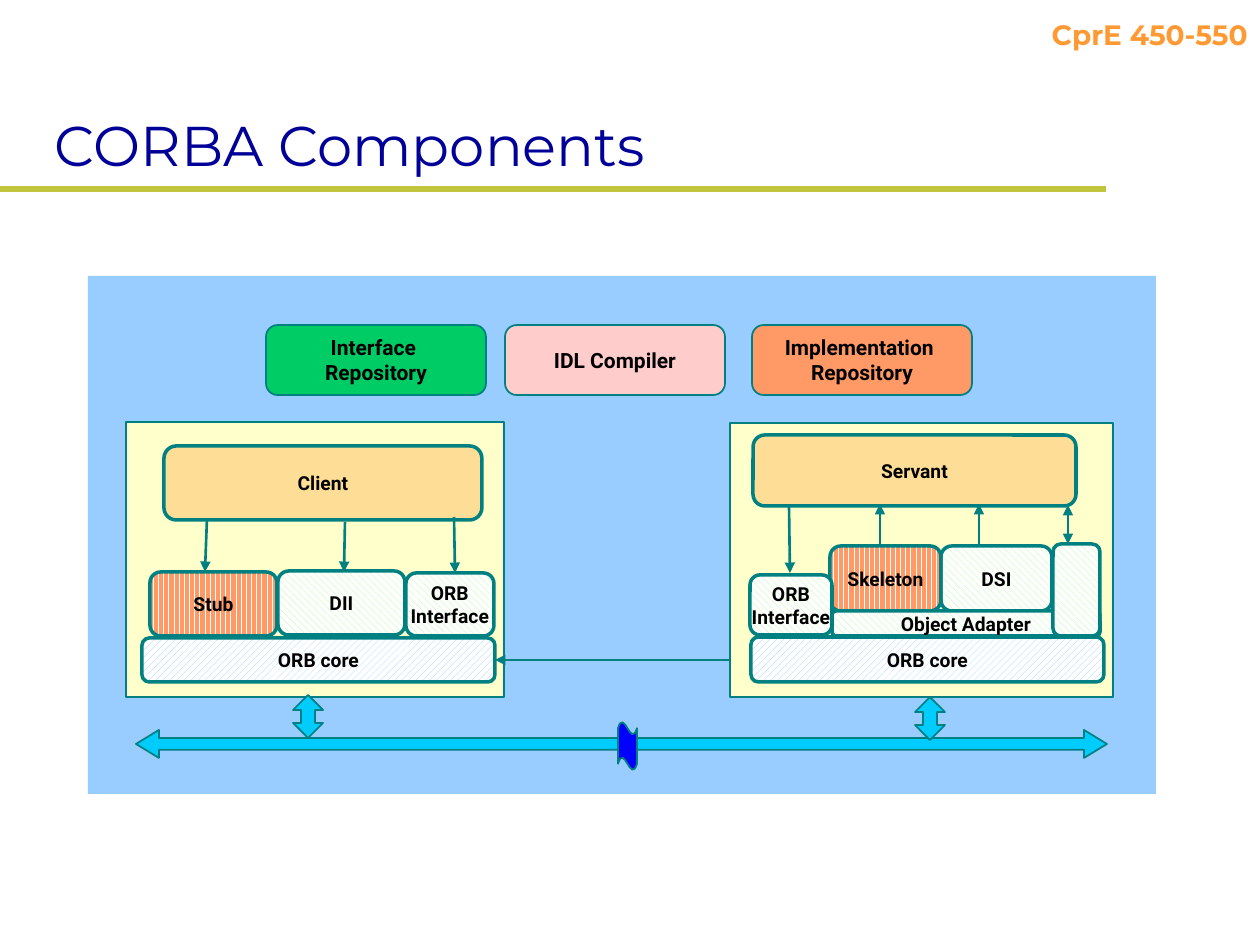
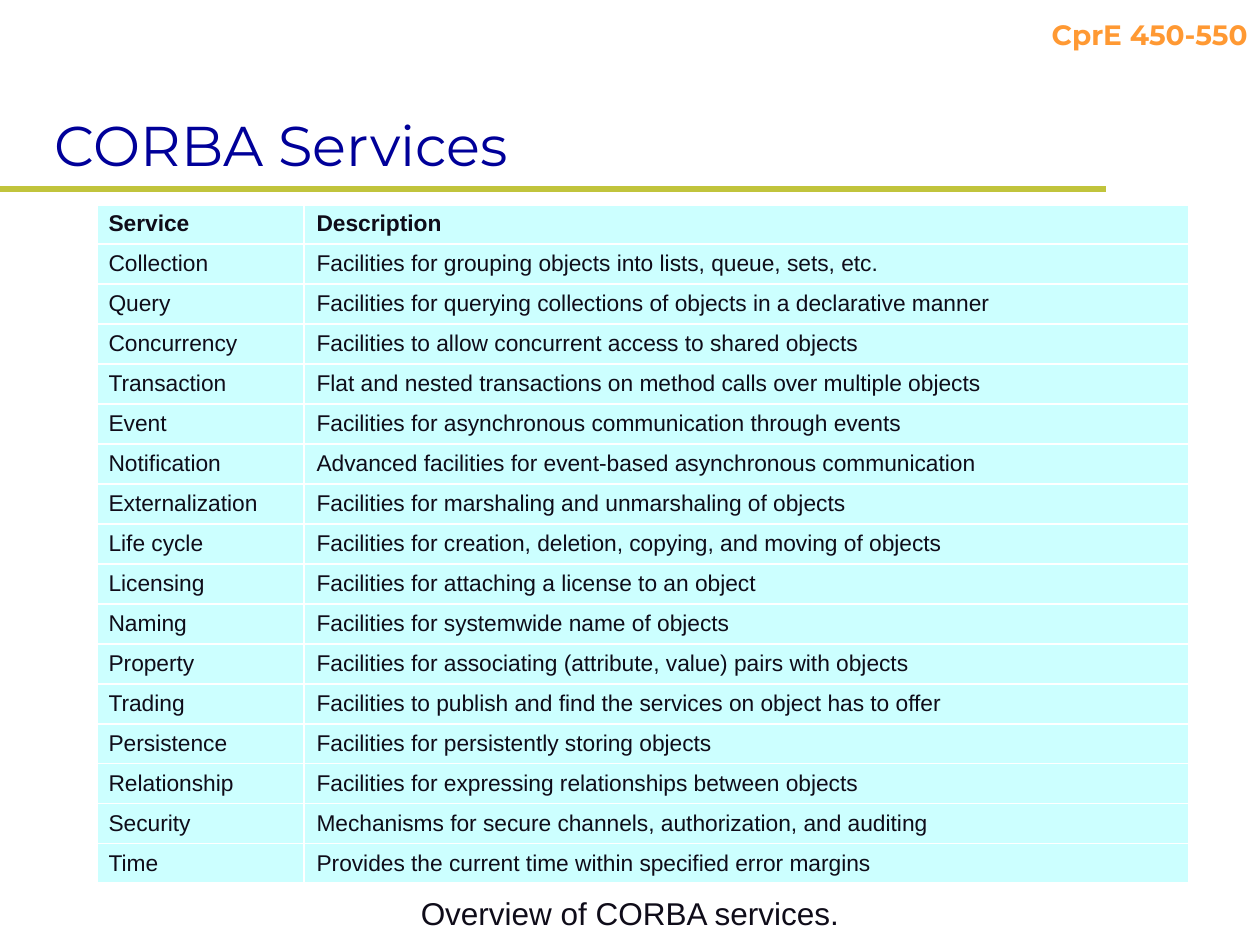
"""Builds two slides on CORBA: its components and its services."""
from dataclasses import dataclass

from lxml import etree
from pptx import Presentation
from pptx.dml.color import RGBColor
from pptx.enum.dml import MSO_PATTERN
from pptx.enum.shapes import MSO_CONNECTOR, MSO_SHAPE
from pptx.enum.text import MSO_ANCHOR, PP_ALIGN
from pptx.oxml.ns import qn
from pptx.util import Pt

RECT, ROUNDED = MSO_SHAPE.RECTANGLE, MSO_SHAPE.ROUNDED_RECTANGLE
ACROSS, UP_DOWN, WAVE = MSO_SHAPE.LEFT_RIGHT_ARROW, MSO_SHAPE.UP_DOWN_ARROW, MSO_SHAPE.WAVE
STRAIGHT = MSO_CONNECTOR.STRAIGHT
TOP, MIDDLE, BOTTOM = MSO_ANCHOR.TOP, MSO_ANCHOR.MIDDLE, MSO_ANCHOR.BOTTOM
LEFT, CENTER, RIGHT = PP_ALIGN.LEFT, PP_ALIGN.CENTER, PP_ALIGN.RIGHT
RISING, FALLING = MSO_PATTERN.WIDE_UPWARD_DIAGONAL, MSO_PATTERN.WIDE_DOWNWARD_DIAGONAL
VERTICAL = MSO_PATTERN.DARK_VERTICAL
EMU_PER_PX = 914400 / 126


@dataclass(frozen=True)
class Theme:
    """Colours, fonts and type sizes."""
    title: str = "000099"
    course: str = "FF9933"
    rule: str = "C1C43C"
    ink: str = "0F0C19"
    label: str = "000000"
    outline: str = "008080"
    white: str = "FFFFFF"
    backdrop: str = "99CCFF"
    host: str = "FFFFCC"
    program: str = "FEDE96"
    interface_repository: str = "00CC66"
    compiler: str = "FFCCCC"
    orange: str = "FF9966"
    green: str = "AAFE96"
    network: str = "00CCFF"
    network_break: str = "0000FF"
    service_cell: str = "CCFFFF"
    heading_font: str = "Montserrat"
    label_font: str = "Roboto"
    body_font: str = "Arial"
    title_size: int = 32
    course_size: int = 16
    caption_size: int = 18
    table_size: int = 13
    tool_size: int = 12
    label_size: int = 11


THEME = Theme()
GENERATED = (VERTICAL, THEME.orange)
DYNAMIC = (FALLING, THEME.green)
CORE = (RISING, THEME.backdrop)

TOOLS = [
    (266, "Interface \nRepository", THEME.interface_repository),
    (505, "IDL Compiler", THEME.compiler),
    (752, "Implementation \nRepository", THEME.orange),
]
CLIENT_PARTS = [
    ((164, 446, 318, 74), "Client", THEME.program),
    ((142, 638, 353, 44), "ORB core", CORE),
    ((150, 572, 127, 64), "Stub", GENERATED),
    ((278, 571, 127, 64), "DII", DYNAMIC),
    ((406, 573, 88, 63), "ORB\nInterface", DYNAMIC),
]
CLIENT_CALLS = [
    ((207, 519), (205, 572)),
    ((345, 522), (344, 572)),
    ((454, 517), (455, 573)),
]
SERVER_PARTS = [
    ((753, 435, 323, 71), "Servant", THEME.program),
    ((941, 546, 111, 65), "DSI", DYNAMIC),
    ((830, 546, 111, 65), "Skeleton", GENERATED),
    ((832, 611, 268, 25), "Object Adapter", DYNAMIC),
    ((750, 575, 82, 60), "ORB\nInterface", DYNAMIC),
    ((751, 637, 353, 45), "ORB core", CORE),
    ((1053, 544, 47, 92), "", DYNAMIC),
]
SERVER_CALLS = [
    ((979, 545), (979, 504)),
    ((880, 545), (880, 504)),
    ((789, 505), (790, 573)),
]
SERVICES = [
    ("Service", "Description"),
    ("Collection", "Facilities for grouping objects into lists, queue, sets, etc."),
    ("Query", "Facilities for querying collections of objects in a declarative manner"),
    ("Concurrency", "Facilities to allow concurrent access to shared objects"),
    ("Transaction", "Flat and nested transactions on method calls over multiple objects"),
    ("Event", "Facilities for asynchronous communication through events"),
    ("Notification", "Advanced facilities for event-based asynchronous communication"),
    ("Externalization", "Facilities for marshaling and unmarshaling of objects"),
    ("Life cycle", "Facilities for creation, deletion, copying, and moving of objects"),
    ("Licensing", "Facilities for attaching a license to an object"),
    ("Naming", "Facilities for systemwide name of objects"),
    ("Property", "Facilities for associating (attribute, value) pairs with objects"),
    ("Trading", "Facilities to publish and find the services on object has to offer"),
    ("Persistence", "Facilities for persistently storing objects"),
    ("Relationship", "Facilities for expressing relationships between objects"),
    ("Security", "Mechanisms for secure channels, authorization, and auditing"),
    ("Time", "Provides the current time within specified error margins"),
]


def px(*lengths):
    """Turn px lengths into a list of EMU."""
    return [round(length * EMU_PER_PX) for length in lengths]


def rgb(color):
    """Turn a hex string into a colour."""
    return RGBColor.from_string(color)


def write(frame, text, font, size, color, bold=False, align=LEFT):
    """Write one paragraph per line of text in a single style."""
    frame.text = text
    for paragraph in frame.paragraphs:
        paragraph.alignment = align
        paragraph.font.name = font
        paragraph.font.size = Pt(size)
        paragraph.font.bold = bold
        paragraph.font.color.rgb = rgb(color)


def add_text(slide, box, text, font, size, color, bold=False, align=LEFT, anchor=TOP):
    """Add a wrapping text box."""
    frame = slide.shapes.add_textbox(*px(*box)).text_frame
    frame.word_wrap = True
    frame.vertical_anchor = anchor
    write(frame, text, font, size, color, bold, align)


def paint(fill, paint_with):
    """Apply a plain colour or a (pattern, colour) pair on white."""
    if isinstance(paint_with, str):
        fill.solid()
        fill.fore_color.rgb = rgb(paint_with)
        return
    fill.patterned()
    fill.pattern, color = paint_with
    fill.fore_color.rgb = rgb(color)
    fill.back_color.rgb = rgb(THEME.white)


def add_block(slide, kind, box, fill, line=1, adjust=()):
    """Add an outlined preset shape; a line of 0 means no outline."""
    block = slide.shapes.add_shape(kind, *px(*box))
    block.shadow.inherit = False
    for index, value in enumerate(adjust):
        block.adjustments[index] = value
    paint(block.fill, fill)
    if line:
        block.line.color.rgb = rgb(THEME.outline)
        block.line.width = Pt(line)
    else:
        block.line.fill.background()
    return block


def add_part(slide, box, text, fill, size=THEME.label_size, line=2):
    """Add a rounded, labelled component."""
    part = add_block(slide, ROUNDED, box, fill, line)
    if text:
        part.text_frame.word_wrap = False
        part.text_frame.vertical_anchor = MIDDLE
        write(part.text_frame, text, THEME.label_font, size, THEME.label, True, CENTER)


def add_line(slide, start, end, color=THEME.outline, width=1.5, ends=()):
    """Add a straight line with arrowheads at the named ends."""
    line = slide.shapes.add_connector(STRAIGHT, *px(*start, *end))
    line.line.color.rgb = rgb(color)
    line.line.width = Pt(width)
    for end_name in ends:
        etree.SubElement(line.line._get_or_add_ln(), qn(f"a:{end_name}"), type="triangle")
    etree.SubElement(line._element.spPr, qn("a:effectLst"))


def add_host(slide, box, parts, calls):
    """Add a machine with its components and the calls between them."""
    add_block(slide, RECT, box, THEME.host)
    for part in parts:
        add_part(slide, *part)
    for start, end in calls:
        add_line(slide, start, end, ends=["tailEnd"])


def add_border(cell, side, width):
    """Give one side of a cell a white border."""
    border = etree.SubElement(cell._tc.get_or_add_tcPr(), qn(f"a:ln{side}"), w=str(Pt(width)))
    solid = etree.SubElement(border, qn("a:solidFill"))
    etree.SubElement(solid, qn("a:srgbClr"), val=THEME.white)


def add_services_table(slide, left, top, widths, row_height, rows):
    """Add the table of services under a bold header row."""
    box = px(left, top, sum(widths), row_height * len(rows))
    table = slide.shapes.add_table(len(rows), len(widths), *box).table
    table.first_row = table.horz_banding = False
    for column, width in zip(table.columns, px(*widths)):
        column.width = width
    last_row, last_column = len(rows) - 1, len(widths) - 1
    for r, texts in enumerate(rows):
        table.rows[r].height = px(row_height)[0]
        for c, text in enumerate(texts):
            cell = table.cell(r, c)
            cell.vertical_anchor = MIDDLE
            outer = {"L": c == 0, "R": c == last_column, "T": r == 0, "B": r == last_row}
            for side, is_outer in outer.items():
                add_border(cell, side, 2.25 if is_outer else 1)
            paint(cell.fill, THEME.service_cell)
            write(cell.text_frame, text, THEME.body_font, THEME.table_size, THEME.ink, r == 0)


def add_titled_slide(deck, title):
    """Add a slide with the rule, course name and title."""
    slide = deck.slides.add_slide(deck.slide_layouts[6])
    add_line(slide, (0, 189), (1106, 189), THEME.rule, 4)
    add_text(slide, (672, 11, 588, 47), "CprE 450-550", THEME.heading_font,
             THEME.course_size, THEME.course, True, RIGHT)
    add_text(slide, (42, 32, 1218, 152), title, THEME.heading_font,
             THEME.title_size, THEME.title, anchor=BOTTOM)
    return slide


def build_components(deck):
    """Build the diagram of client, server and network."""
    slide = add_titled_slide(deck, "CORBA Components")
    add_block(slide, RECT, (88, 276, 1068, 518), THEME.backdrop, 0)
    for left, text, fill in TOOLS:
        add_part(slide, (left, 325, 220, 70), text, fill, THEME.tool_size, 1)
    add_host(slide, (126, 422, 378, 275), CLIENT_PARTS, CLIENT_CALLS)
    add_block(slide, ACROSS, (136, 730, 971, 28), THEME.network, adjust=(0.42, 0.82))
    for left, top in ((293, 695), (915, 697)):
        add_block(slide, UP_DOWN, (left, top, 30, 43), THEME.network, adjust=(0.5, 0.47))
    add_block(slide, WAVE, (618, 722, 19, 48), THEME.network_break, adjust=(0.13, 0))
    add_line(slide, (495, 660), (748, 660), ends=["headEnd", "tailEnd"])
    add_host(slide, (730, 423, 383, 274), SERVER_PARTS, SERVER_CALLS)
    add_line(slide, (1068, 505), (1068, 544), ends=["headEnd", "tailEnd"])


def build_services(deck):
    """Build the table of services with its caption."""
    slide = add_titled_slide(deck, "CORBA Services")
    add_text(slide, (0, 888, 1260, 64), "Overview of CORBA services.", THEME.body_font,
             THEME.caption_size, THEME.ink, align=CENTER)
    add_services_table(slide, 96, 204, (208, 886), 40, SERVICES)


def main():
    """Build and save the deck."""
    deck = Presentation()
    deck.slide_width, deck.slide_height = px(1260, 945)
    build_components(deck)
    build_services(deck)
    deck.save("out.pptx")


if __name__ == "__main__":
    main()
